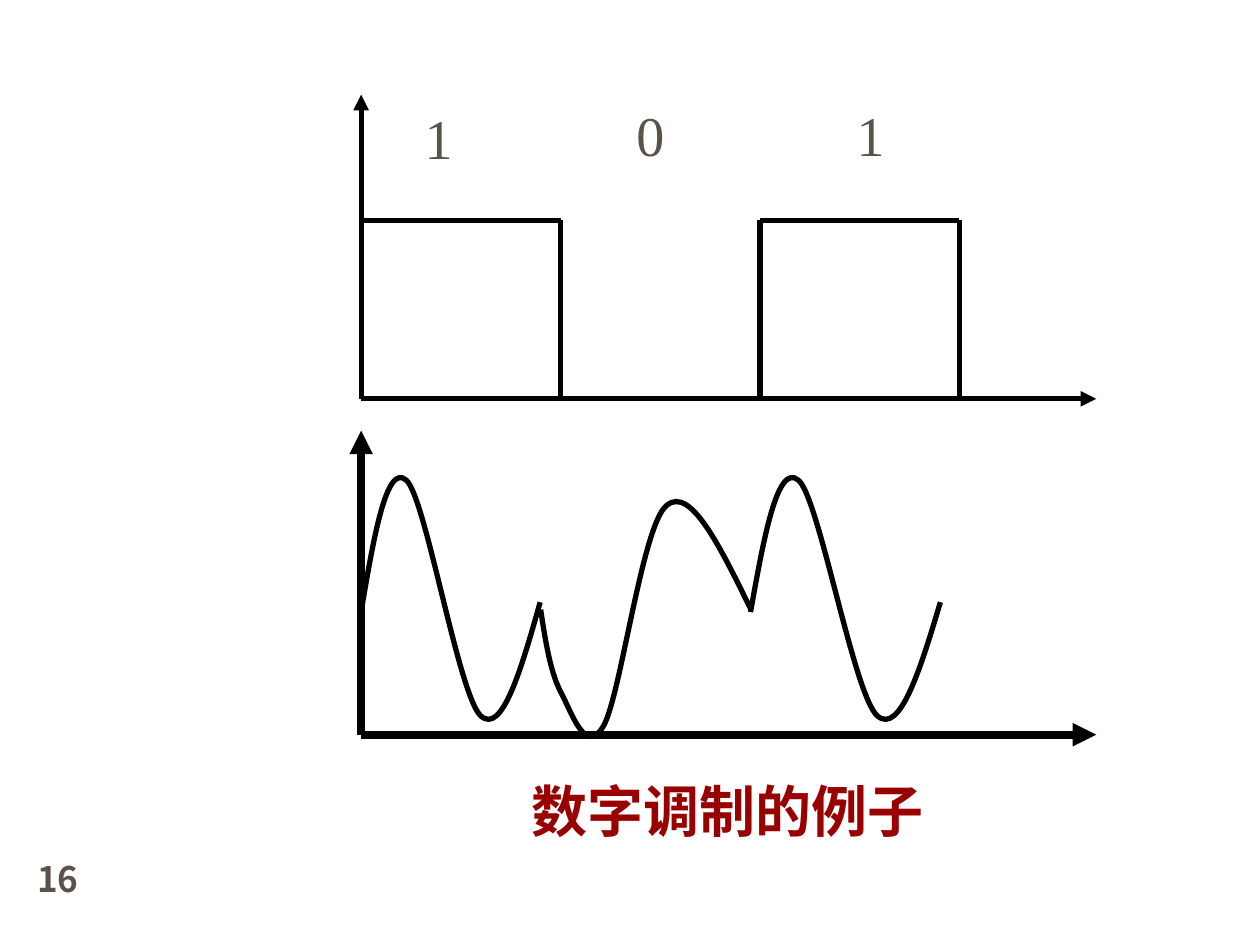
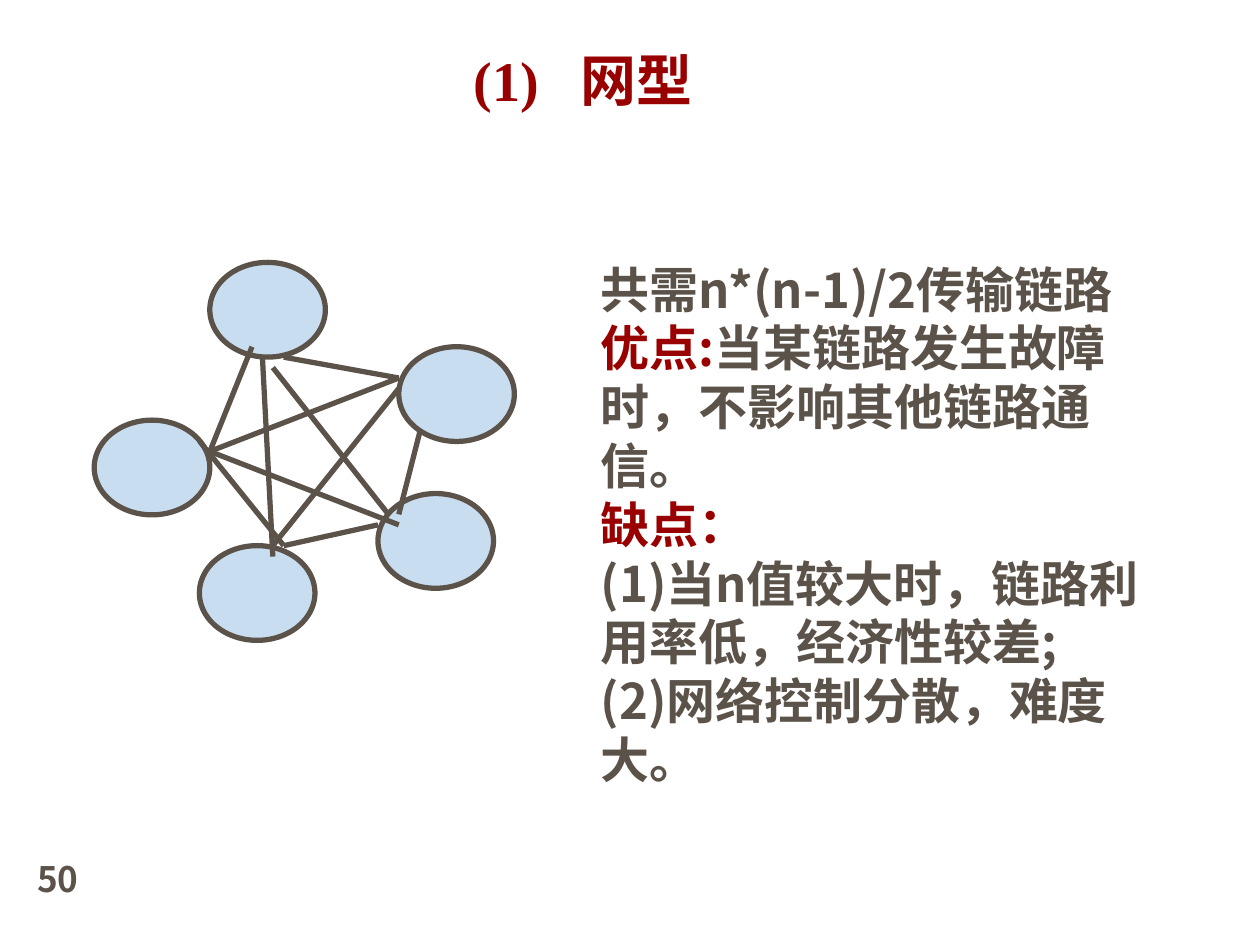
"""Build two lecture slides: a digital modulation plot and a mesh network."""
from lxml import etree
from pptx import Presentation, oxml, util as u
from pptx.dml.color import RGBColor
from pptx.enum import shapes, text
from pptx.oxml import ns

Cm, Pt = u.Cm, u.Pt
rgb = RGBColor.from_string
BLACK, GREY, RED, BLUE = "000000", "5B5249", "990000", "C9DDF1"
SERIF, SANS, BODY = "Times New Roman", "Noto Sans CJK SC", "Noto Sans CJK JP"


def link(slide, ends, hue, width=3, arrow=False):
    """Draw a straight line, with an arrowhead at its end if asked."""
    line = slide.shapes.add_connector(
        shapes.MSO_CONNECTOR.STRAIGHT, *[Cm(v) for v in ends])
    line.line.color.rgb = rgb(hue)
    line.line.width = Pt(width)
    if arrow:
        tail = etree.SubElement(line.line._get_or_add_ln(), ns.qn("a:tailEnd"))
        tail.set("type", "triangle")
    etree.SubElement(line._element.spPr, ns.qn("a:effectLst"))


def write(slide, box, paras, font, size, bold=True, lead=None, tab=None, **form):
    """Write paragraphs, each a list of (words, colour) runs."""
    frame = slide.shapes.add_textbox(*[Cm(v) for v in box]).text_frame
    for key, val in form.items():
        setattr(frame, key, val)
    for i, runs in enumerate(paras):
        para = frame.paragraphs[0] if i == 0 else frame.add_paragraph()
        props = para._p.get_or_add_pPr()
        props.set("hangingPunct", "0")
        if lead:
            para.line_spacing = Pt(lead)
        if tab:
            props.append(oxml.parse_xml(
                f'<a:tabLst {ns.nsdecls("a")}><a:tab pos="{Cm(tab)}" algn="l"/></a:tabLst>'))
        for words, hue in runs:
            run = para.add_run()
            run.text = words
            look = {"name": font, "size": Pt(size), "bold": bold}
            for key, val in look.items():
                setattr(run.font, key, val)
            run.font.color.rgb = rgb(hue)
            east = etree.SubElement(run._r.get_or_add_rPr(), ns.qn("a:ea"))
            east.set("typeface", SANS if font == SERIF else font)


deck = Presentation()
deck.slide_width, deck.slide_height = Cm(25.4), Cm(19.05)
wave, mesh = [deck.slides.add_slide(deck.slide_layouts[6]) for _ in range(2)]
for slide, page in ((wave, "16"), (mesh, "50")):
    write(slide, (0.5, 17.12, 1.4, 1.27), [[(page, GREY)]], SANS, 20,
          lead=25, word_wrap=True)

left, right, rise = 7.28, 22.1, 6.13
for base, width in ((14.81, 4.5), (8.04, 3)):
    for end in ((left, base - rise), (right, base)):
        link(wave, (left, base, *end), BLACK, width, True)

bit, high, low = 4.02, 4.44, 8.04
marks = [left + bit * i for i in range(4)]
for start, stop in (marks[:2], marks[2:]):
    link(wave, (start, high, stop, high), BLACK)
for mark in marks[1:]:
    link(wave, (mark, high, mark, low), BLACK)
for digit, x, y in (("1", 8.31, 1.96), ("0", 12.58, 1.9), ("1", 17.02, 1.9)):
    write(wave, (x, y, 1.07, 1.63), [[(digit, GREY)]], SERIF, 32, False,
          word_wrap=False)

sine = [(0, 12.34), (0.25, 10.85), (0.51, 9.32), (0.91, 9.68), (1.3, 10.01),
        (1.96, 14), (2.41, 14.43), (2.84, 14.83), (3.23, 13.49), (3.61, 12.14)]
slow = [(0, 12.29), (0.1, 12.95), (0.2, 13.59), (0.43, 14), (0.63, 14.38),
        (0.91, 15.25), (1.27, 14.63), (1.62, 14), (2.05, 10.57),
        (2.54, 10.19), (3.02, 9.78), (3.63, 11.05), (4.24, 12.29)]
for start, scale, knots in ((7.28, 1, sine), (15.13, 1.06, sine), (10.9, 1, slow)):
    dots = [(Cm(start + scale * x), Cm(y)) for x, y in knots]
    form = wave.shapes.build_freeform(*dots[0])
    form.add_line_segments(dots[1:], close=False)
    curve = form.convert_to_shape()
    curve.shadow.inherit = False
    curve.fill.background()
    curve.line.color.rgb = rgb(BLACK)
    curve.line.width = Pt(3)
    track = next(curve._element.iter(ns.qn("a:path")))
    steps = track.findall(ns.qn("a:lnTo"))
    for i in range(0, len(steps), 3):
        bend = etree.SubElement(track, ns.qn("a:cubicBezTo"))
        for step in steps[i:i + 3]:
            bend.append(step[0])
            track.remove(step)

write(wave, (10.46, 15.52, 9, 1.63), [[("数字调制的例子", RED)]], SERIF, 32,
      lead=38.5, word_wrap=True)

write(mesh, (9.3, 0.81, 6.35, 1.47), [[("(1)\t网型", RED)]], SERIF, 32, tab=2.15,
      word_wrap=True, vertical_anchor=text.MSO_ANCHOR.BOTTOM, margin_bottom=0)

nodes = [(4.02, 11), (1.9, 8.47), (7.62, 9.95), (8.04, 6.99), (4.23, 5.29)]
for x, y in nodes:
    node = mesh.shapes.add_shape(
        shapes.MSO_SHAPE.OVAL, Cm(x), Cm(y), Cm(2.33), Cm(1.91))
    node.shadow.inherit = False
    node.fill.solid()
    node.fill.fore_color.rgb = rgb(BLUE)
    node.line.color.rgb = rgb(GREY)
    node.line.width = Pt(3)

links = [(5.08, 6.99, 4.23, 9.1), (5.29, 7.2, 5.5, 11.22),
         (5.5, 7.41, 7.83, 10.37), (5.72, 7.2, 8.04, 7.62),
         (8.04, 7.83, 5.5, 11), (4.02, 8.89, 5.72, 11),
         (4.23, 9.1, 8.04, 7.62), (5.72, 11, 7.62, 10.58),
         (4.23, 9.1, 8.04, 10.58), (8.47, 8.68, 8.04, 10.37)]
for ends in links:
    link(mesh, ends, GREY)

notes = [[("共需n*(n-1)/2传输链路", GREY)],
         [("优点:", RED), ("当某链路发生故障时，不影响其他链路通信。", GREY)],
         [("缺点：", RED)],
         [("(1)当n值较大时，链路利用率低，经济性较差;", GREY)],
         [("(2)网络控制分散，难度大。", GREY)]]
write(mesh, (11.86, 5.1, 12.07, 9.75), notes, BODY, 28, lead=33.6, word_wrap=True)

deck.save("out.pptx")
